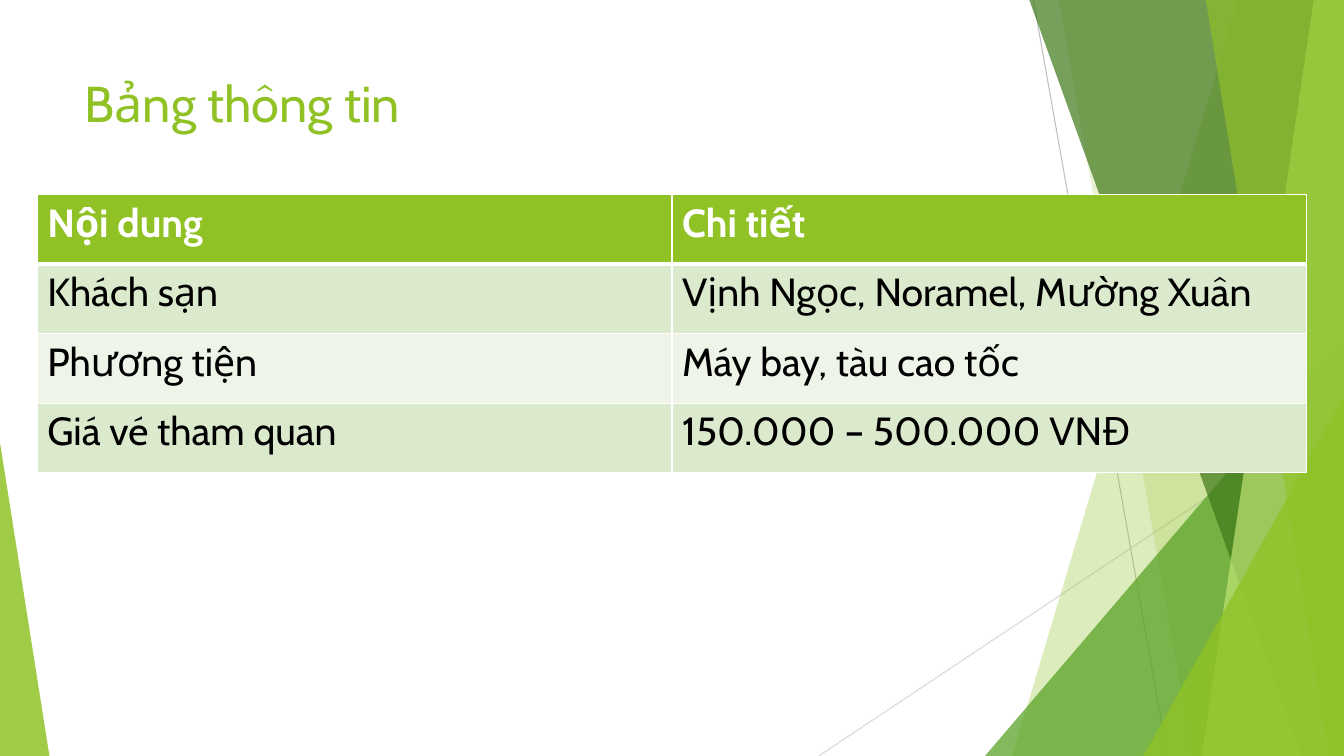
"""Build a slide with a travel information table over a green faceted backdrop."""
import dataclasses

import lxml.etree
import pptx
import pptx.dml.color
import pptx.enum.shapes
import pptx.enum.text
import pptx.oxml.ns
import pptx.util


@dataclasses.dataclass(frozen=True)
class Theme:
    """Colours, font and type sizes of the slide."""

    font: str = "Cabin"
    title_size: int = 36
    table_size: int = 28
    green: str = "90C226"
    leaf: str = "54A021"
    forest: str = "3F7819"
    lime: str = "C0E474"
    grey: str = "BFBFBF"
    silver: str = "D9D9D9"
    white: str = "FFFFFF"
    black: str = "000000"
    stripes: tuple = ("DBE9CD", "EEF4E8")


class SlideBuilder:
    """Places elements on one slide by percentages of its width and height."""

    def __init__(self, deck, theme):
        """Add a title-only slide to the deck."""
        self.deck = deck
        self.theme = theme
        self.slide = deck.slides.add_slide(deck.slide_layouts[5])

    def x(self, share):
        """Convert a percentage of the width to a length."""
        return pptx.util.Emu(round(self.deck.slide_width * share / 100))

    def y(self, share):
        """Convert a percentage of the height to a length."""
        return pptx.util.Emu(round(self.deck.slide_height * share / 100))

    def box(self, left, top, width, height):
        """Convert a box in percentages to lengths."""
        return self.x(left), self.y(top), self.x(width), self.y(height)

    def colour(self, code):
        """Turn a hex code into a colour."""
        return pptx.dml.color.RGBColor.from_string(code)

    def format_text(self, frame, size, code, bold=False):
        """Format every run of a text frame."""
        for paragraph in frame.paragraphs:
            paragraph.alignment = pptx.enum.text.PP_ALIGN.LEFT
            for run in paragraph.runs:
                run.font.name = self.theme.font
                run.font.size = pptx.util.Pt(size)
                run.font.bold = bold
                run.font.color.rgb = self.colour(code)

    def add_node(self, parent, tag, **attributes):
        """Append a drawing element to a parent."""
        return lxml.etree.SubElement(parent, pptx.oxml.ns.qn(tag), attributes)

    def paint(self, facet, code, opacity):
        """Give a facet a translucent fill without outline or shadow."""
        facet.shadow.inherit = False
        facet.line.fill.background()
        facet.fill.solid()
        facet.fill.fore_color.rgb = self.colour(code)
        for fill_colour in facet._element.spPr.iter(pptx.oxml.ns.qn("a:srgbClr")):
            self.add_node(fill_colour, "a:alpha", val=str(opacity * 1000))

    def line(self, start, end, code):
        """Draw a thin straight line."""
        ray = self.slide.shapes.add_connector(
            pptx.enum.shapes.MSO_CONNECTOR.STRAIGHT,
            self.x(start[0]), self.y(start[1]), self.x(end[0]), self.y(end[1]))
        ray.line.color.rgb = self.colour(code)
        ray.line.width = pptx.util.Pt(0.75)
        self.add_node(ray._element.spPr, "a:effectLst")

    def band(self, top_x, bottom_x, code, opacity):
        """Draw a full-height facet from a slanted edge to the right border."""
        outline = self.slide.shapes.build_freeform(self.x(top_x), 0)
        outline.add_line_segments([
            (self.x(100), 0), (self.x(100), self.y(100)),
            (self.x(bottom_x), self.y(100))], close=True)
        self.paint(outline.convert_to_shape(), code, opacity)

    def corner(self, left, top, width, apex, code, opacity):
        """Draw a right triangle standing on the bottom border."""
        facet = self.slide.shapes.add_shape(
            pptx.enum.shapes.MSO_SHAPE.ISOSCELES_TRIANGLE,
            *self.box(left, top, width, 100 - top))
        facet.adjustments[0] = apex
        self.paint(facet, code, opacity)

    def title(self, text, box):
        """Fill the title placeholder and bring it in front of the backdrop."""
        heading = self.slide.shapes.title
        heading.left, heading.top, heading.width, heading.height = self.box(*box)
        frame = heading.text_frame
        frame.text = text
        frame.vertical_anchor = pptx.enum.text.MSO_ANCHOR.TOP
        self.format_text(frame, self.theme.title_size, self.theme.green)
        self.slide.shapes._spTree.append(heading._element)

    def border(self, cell, widths):
        """Draw white cell borders with the given point widths per side."""
        properties = cell._tc.get_or_add_tcPr()
        for side, width in widths.items():
            edge = self.add_node(properties, f"a:ln{side}", w=str(pptx.util.Pt(width)))
            fill = self.add_node(edge, "a:solidFill")
            self.add_node(fill, "a:srgbClr", val=self.theme.white)

    def table(self, rows, box):
        """Add a table with a green header and striped rows."""
        grid = self.slide.shapes.add_table(len(rows), len(rows[0]), *self.box(*box)).table
        for row_index, row in enumerate(rows):
            header = row_index == 0
            fill = self.theme.green if header else self.theme.stripes[(row_index - 1) % 2]
            ink = self.theme.white if header else self.theme.black
            widths = {"L": 1, "R": 1, "T": 3 if row_index == 1 else 1, "B": 3 if header else 1}
            for column_index, text in enumerate(row):
                cell = grid.cell(row_index, column_index)
                self.border(cell, widths)
                cell.fill.solid()
                cell.fill.fore_color.rgb = self.colour(fill)
                cell.text_frame.text = text
                self.format_text(cell.text_frame, self.theme.table_size, ink, header)


def main():
    """Build and save the slide."""
    deck = pptx.Presentation()
    deck.slide_width = pptx.util.Inches(13.33)
    deck.slide_height = pptx.util.Inches(7.5)
    theme = Theme()
    page = SlideBuilder(deck, theme)

    page.line((76.89, 0), (86.87, 100), theme.grey)
    page.line((100, 53.73), (60.92, 100), theme.silver)
    page.band(92.12, 75.32, theme.green, 30)
    page.band(78.77, 88.75, theme.green, 20)
    page.corner(73.29, 44.4, 26.71, 1, theme.leaf, 72)
    page.band(76.59, 96.85, theme.forest, 70)
    page.band(97.75, 89.42, theme.lime, 70)
    page.band(89.72, 98.87, theme.green, 65)
    page.corner(85.07, 52.4, 14.93, 1, theme.green, 80)
    page.corner(0, 58.53, 3.68, 0, theme.green, 85)

    page.title("Bảng thông tin", (5.55, 8.93, 70.52, 19.2))
    page.table([
        ("Nội dung", "Chi tiết"),
        ("Khách sạn", "Vịnh Ngọc, Noramel, Mường Xuân"),
        ("Phương tiện", "Máy bay, tàu cao tốc"),
        ("Giá vé tham quan", "150.000 – 500.000 VNĐ"),
    ], (2.78, 25.73, 94.45, 36.8))
    deck.save("out.pptx")


if __name__ == "__main__":
    main()
